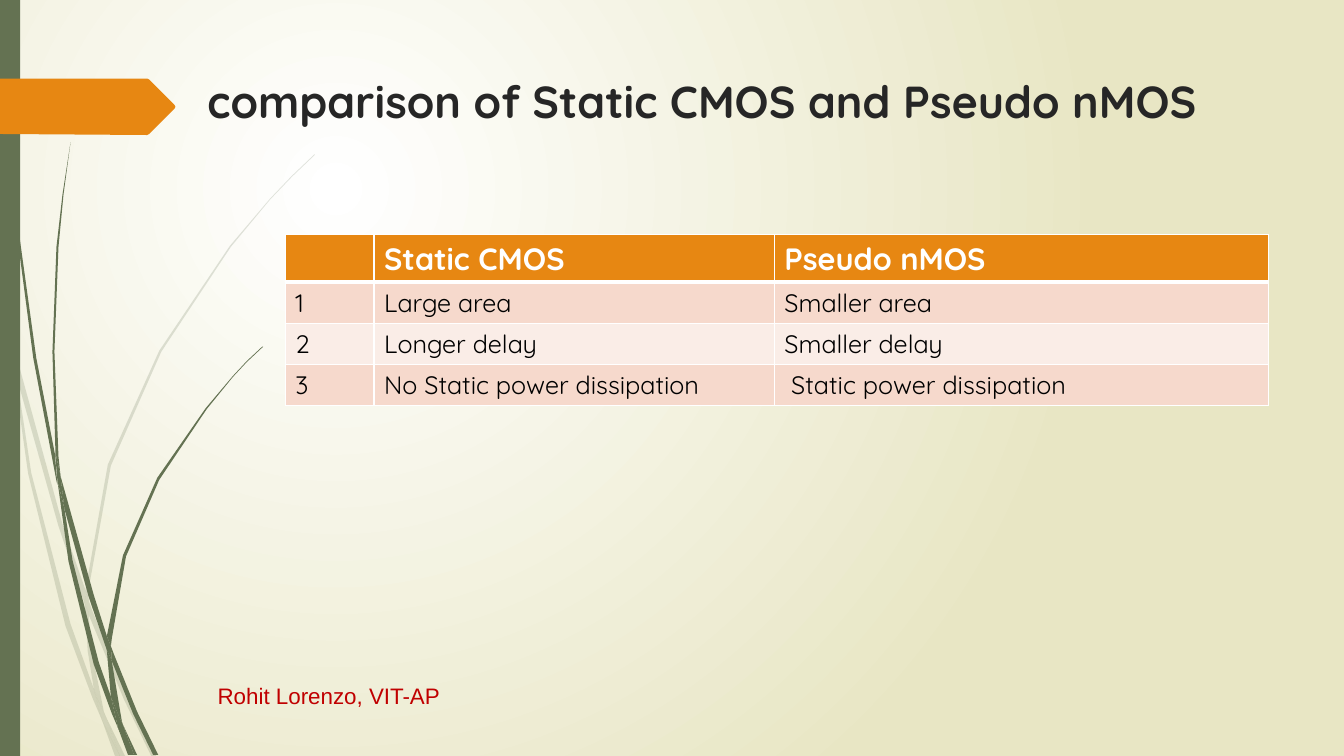
"""Build the slide that compares Static CMOS with Pseudo nMOS."""
from dataclasses import dataclass

from lxml import etree
from pptx import Presentation
from pptx import util as u
from pptx.dml.color import RGBColor
from pptx.enum import shapes, text
from pptx.oxml import ns

PX = 9144


@dataclass(frozen=True)
class Theme:
    """Hold the colours, fonts and type sizes."""
    green: str = "647252"
    orange: str = "E78712"
    white: str = "FFFFFF"
    sand: str = "E8E6C4"
    ink: str = "262626"
    black: str = "000000"
    red: str = "C00000"
    bands: tuple = ("FAEDE7", "F6D9CC")
    main: str = "Quicksand"
    plain: str = "Arial"
    title: int = 32
    head: int = 22
    body: int = 18
    foot: int = 16


T = Theme()

PALE = """
11,350 9,322 0,282 0,299 10,344
58,522 84,599 85,586 62,520 14,345 17,376
92,607 88,596 88,610 123,694 150,750 155,750 127,692
119,750 124,750 105,711
93,683 70,619 31,469 17,376 11,350 28,470 65,621 92,693 101,714 99,707
84,599 87,646 93,683 96,692 105,711 103,706 91,646 88,610 88,608
88,584 110,462 160,349 229,245 268,198 290,175 312,154 312,153 289,175 268,197 228,244 158,348 107,461 85,584 85,586 88,596
101,714 114,750 119,750
88,608 88,610 88,596 85,586 84,599
96,692 93,683 99,707 101,714 119,750 105,711
"""

DARK = """
7,110 17,233 33,355 56,477 57,481 55,457 55,453 36,355 19,232 8,109 5,48 4,0 3,0 4,48
88,592 106,645 106,633 106,631 93,590 60,472 64,505
113,649 110,641 111,656 132,708 152,749 157,749 136,706
110,691 98,657 72,556 64,505 57,477 68,557 93,659 111,708 117,722 116,717
60,472 58,453 54,349 58,245 63,193 70,141 62,193 56,245 52,349 55,449
133,749 136,749 122,719
57,477 64,505 60,472 55,449 55,453
111,633 125,552 158,476 205,406 231,374 245,359 261,344 260,344 245,358 231,373 204,405 156,474 122,551 106,631 110,641
117,722 127,749 131,749
106,645 110,691 116,706 122,719 121,716 111,656 109,651
106,645 109,651 111,656 110,641 106,631 106,633
116,706 110,691 116,717 117,722 130,749 133,749 122,719
"""

ARROW = "0,78 146,78 148,79 173,104 174,106 173,108 148,133 146,134 0,133"

ROWS = (
    ("", "Static CMOS", "Pseudo nMOS"),
    ("1", "Large area", "Smaller area"),
    ("2", "Longer delay", "Smaller delay"),
    ("3", "No Static power dissipation", " Static power dissipation"),
)
COLS = (88, 397, 490)


def box(*sizes):
    """Turn px lengths into EMU."""
    return [u.Emu(size * PX) for size in sizes]


def rgb(hue):
    """Turn a hex string into a colour."""
    return RGBColor.from_string(hue)


def node(parent, tag, **attrs):
    """Add an XML child with attributes."""
    return etree.SubElement(parent, ns.qn(tag), attrs)


def paint(shape, hue):
    """Give a shape a flat fill with no line or shadow."""
    shape.shadow.inherit = False
    shape.fill.solid()
    shape.fill.fore_color.rgb = rgb(hue)
    shape.line.fill.background()


def shade(slide):
    """Fill the background with a round glow."""
    fill = slide.background.fill
    fill.gradient()
    for stop, hue in zip(fill.gradient_stops, (T.white, T.sand)):
        stop.color.rgb = rgb(hue)
    grad = slide.element.find(".//" + ns.qn("a:gradFill"))
    grad.remove(grad.find(ns.qn("a:lin")))
    glow = node(grad, "a:path", path="circle")
    node(glow, "a:fillToRect", l="50000", t="50000", r="100000", b="100000")


def outline(slide, line, hue, alpha=100):
    """Draw one closed outline from a row of px points."""
    first, *rest = [tuple(map(int, pair.split(","))) for pair in line.split()]
    pen = slide.shapes.build_freeform(*first, scale=PX)
    pen.add_line_segments(rest, close=True)
    shape = pen.convert_to_shape()
    paint(shape, hue)
    if alpha < 100:
        tint = shape.element.spPr.find(".//" + ns.qn("a:srgbClr"))
        node(tint, "a:alpha", val=str(alpha * 1000))


def style(frame, size, hue, font=T.main, bold=False):
    """Format every run in a text frame."""
    for para in frame.paragraphs:
        for run in para.runs:
            run.font.size = u.Pt(size)
            run.font.name = font
            run.font.bold = bold
            run.font.color.rgb = rgb(hue)


def label(slide, words, place, anchor, **look):
    """Add a wrapped text box."""
    frame = slide.shapes.add_textbox(*box(*place)).text_frame
    frame.word_wrap = True
    frame.vertical_anchor = anchor
    frame.text = words
    style(frame, **look)


def border(cell, row):
    """Rule the cell in white, thicker under the header."""
    props = cell._tc.get_or_add_tcPr()
    for spot, side in enumerate("LRTB"):
        width = 3 if (side, row) in (("B", 0), ("T", 1)) else 1
        edge = node(props, "a:ln" + side, w=str(u.Pt(width)))
        node(node(edge, "a:solidFill"), "a:srgbClr", val=T.white)
        props.insert(spot, edge)


def grid(slide, left, top, high):
    """Add the table of differences."""
    place = box(left, top, sum(COLS), high * len(ROWS))
    table = slide.shapes.add_table(len(ROWS), len(COLS), *place).table
    for col, wide in zip(table.columns, COLS):
        col.width = u.Emu(wide * PX)
    for row, words in enumerate(ROWS):
        head = row == 0
        for col, word in enumerate(words):
            cell = table.cell(row, col)
            cell.text = word
            cell.fill.solid()
            cell.fill.fore_color.rgb = rgb(T.orange if head else T.bands[row % 2])
            style(cell.text_frame, T.head if head else T.body,
                  T.white if head else T.black, bold=head)
            border(cell, row)


def main():
    """Build and save the slide."""
    deck = Presentation()
    deck.slide_width, deck.slide_height = box(1333, 750)
    slide = deck.slides.add_slide(deck.slide_layouts[6])
    shade(slide)
    for blades, alpha in ((PALE, 20), (DARK, 100)):
        for line in blades.strip().splitlines():
            outline(slide, line, T.green, alpha)
    bar = slide.shapes.add_shape(shapes.MSO_SHAPE.RECTANGLE, *box(0, 0, 20, 750))
    paint(bar, T.green)
    outline(slide, ARROW, T.orange)
    label(slide, "comparison of Static CMOS and Pseudo nMOS", (196, 68, 1063, 140),
          text.MSO_ANCHOR.TOP, size=T.title, hue=T.ink, bold=True)
    grid(slide, 283, 233, 41)
    label(slide, "Rohit Lorenzo, VIT-AP", (206, 671, 911, 39),
          text.MSO_ANCHOR.MIDDLE, size=T.foot, hue=T.red, font=T.plain)
    deck.save("out.pptx")


if __name__ == "__main__":
    main()
